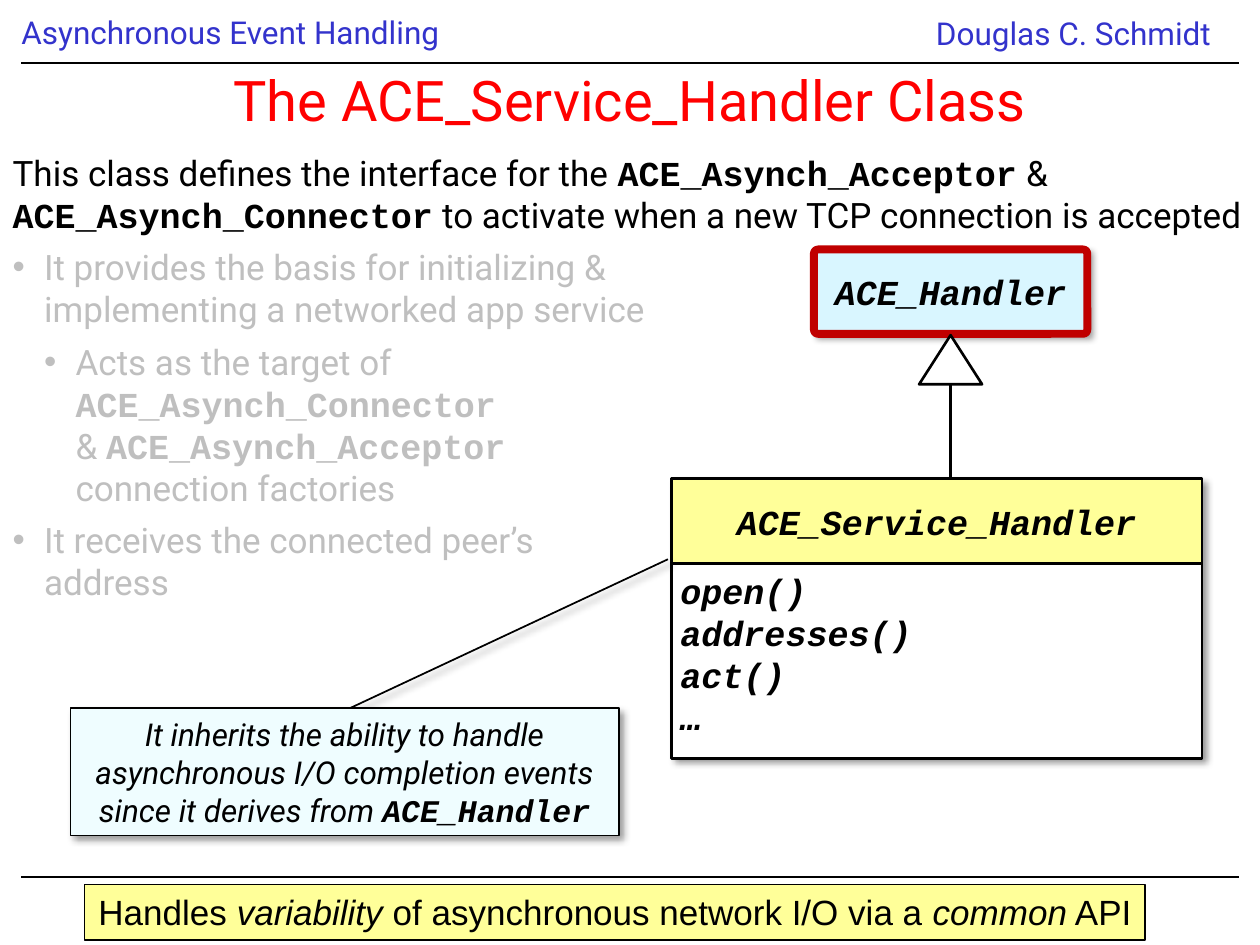
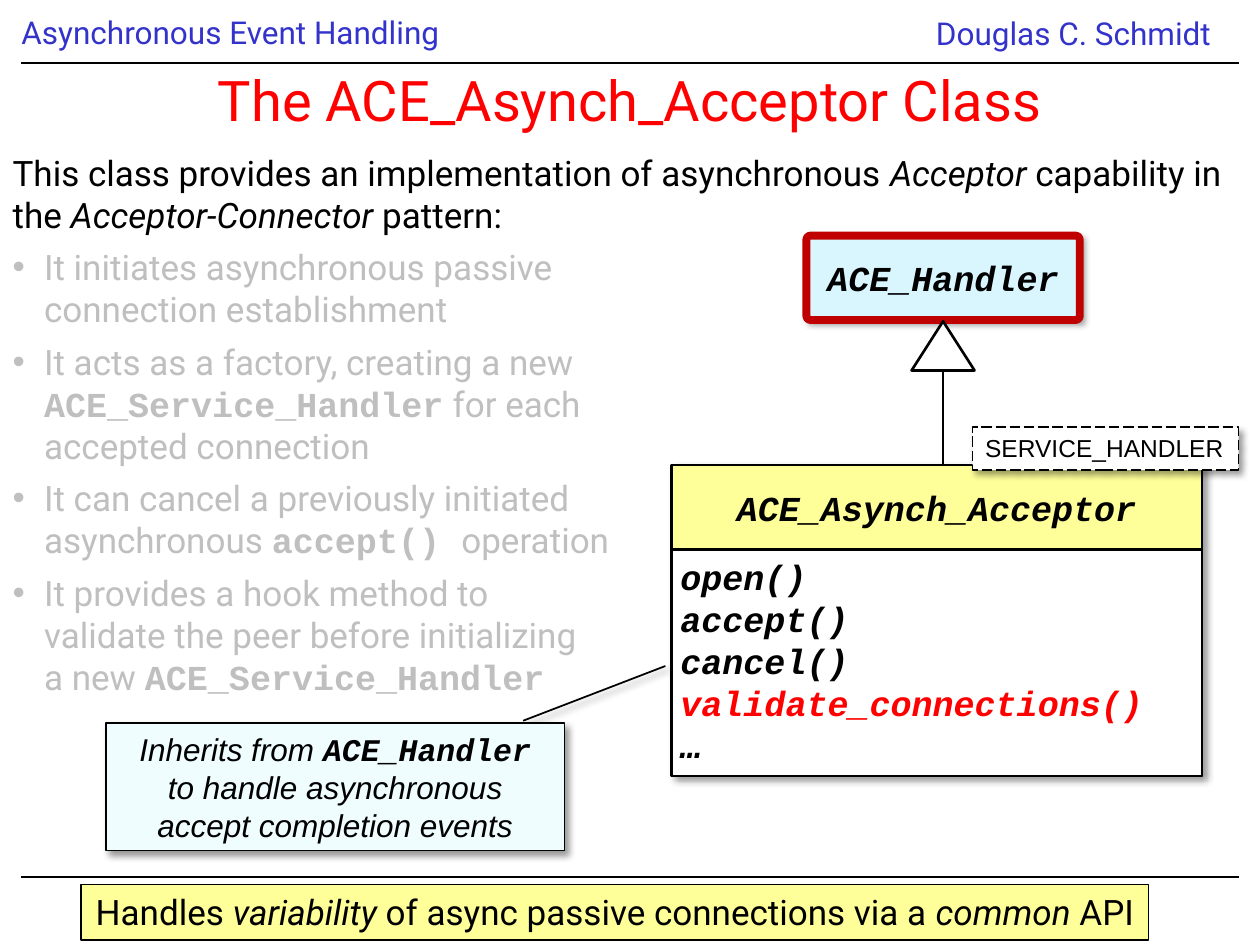
from lxml import etree
from pptx import Presentation
from pptx import util as u
from pptx.dml.color import RGBColor
from pptx.enum import dml, shapes, text
from pptx.oxml.ns import qn

# ---- Content: `code` is bold Courier New, *words* are italic ----
HEADER = ("Asynchronous Event Handling", "Douglas C. Schmidt")
BASE_CLASS = "ACE_Handler"
SLIDES = [
    dict(
        title="The ACE_Service_Handler Class",
        intro="This class defines the interface for the `ACE_Asynch_Acceptor` & "
              "`ACE_Asynch_Connector` to activate when a new TCP connection is accepted",
        bullets=[
            (1, "It provides the basis for initializing &\nimplementing a networked app service"),
            (2, "Acts as the target of\n`ACE_Asynch_Connector`\n& `ACE_Asynch_Acceptor`\n"
                "connection factories"),
            (1, "It receives the connected peer’s\naddress"),
        ],
        name="ACE_Service_Handler",
        methods=[("open()", "black"), ("addresses()", "black"), ("act()", "black"),
                 ("…", "black")],
        class_top=3.8, methods_height=1.55, base_left=6.46, tag=None,
        callout=dict(at=(0.56, 5.62, 4.35, 1.01), font="Roboto",
                     pointer=(0, 0.51, -1.17, 1.09),
                     words="It inherits the ability to handle asynchronous I/O completion "
                           "events since it derives from `ACE_Handler`"),
        footer=dict(width=8.42, font="Arial",
                    words="Handles *variability* of asynchronous network I/O via a *common* API"),
        body_height=3.72,
    ),
    dict(
        title="The ACE_Asynch_Acceptor Class",
        intro="This class provides an implementation of asynchronous *Acceptor* capability in "
              "the *Acceptor-Connector* pattern:",
        bullets=[
            (1, "It initiates asynchronous passive\nconnection establishment"),
            (1, "It acts as a factory, creating a new\n`ACE_Service_Handler` for each\n"
                "accepted connection"),
            (1, "It can cancel a previously initiated\nasynchronous `accept() `operation"),
            (1, "It provides a hook method to\nvalidate the peer before initializing\n"
                "a new `ACE_Service_Handler`"),
        ],
        name="ACE_Asynch_Acceptor",
        methods=[("open()", "black"), ("accept()", "black"), ("cancel()", "black"),
                 ("validate_connections()", "red"), ("…", "black")],
        class_top=3.69, methods_height=1.8, base_left=6.4, tag="SERVICE_HANDLER",
        callout=dict(at=(0.84, 5.74, 3.64, 1.01), font="Arial",
                     pointer=(-0.02, 0.91, -0.45, 1.22),
                     words="Inherits from `ACE_Handler `to handle asynchronous accept "
                           "completion events"),
        footer=dict(width=8.47, font="Roboto",
                    words="Handles *variability* of async passive connections via a *common* API"),
        body_height=4.9,
    ),
]

# ---- Shared look ----
WIDTH, HEIGHT, MARGIN = 10, 7.5, 0.17
COLORS = dict(black="000000", white="FFFFFF", blue="3333CC", red="FF0000", gray="BFBFBF",
              frame="C00000", base="D9F6FF", note="EFFDFF", yellow="FFFF99")
CODE = dict(name="Courier New", bold=True)
CLASS_LEFT, CLASS_WIDTH, NAME_HEIGHT = 5.33, 4.21, 0.67
BASE_WIDTH, BASE_RISE = 2.17, 1.82
ARROW_WIDTH, ARROW_HEIGHT, ARROW_RISE = 0.5, 0.39, 1.14
FOOTER_CENTER = 4.88
SHAPE = shapes.MSO_SHAPE
ALIGN = text.PP_ALIGN
ANCHOR = text.MSO_ANCHOR


def color(key):
    return RGBColor.from_string(COLORS[key])


def apply(target, formats):
    for key, value in formats.items():
        setattr(target, key, value)


def inches(values):
    return [u.Inches(value) for value in values]


# ---- Text ----
def add_span(para, words, size, ink, formats):
    for number, line in enumerate(words.split("\n")):
        if number:
            para.add_line_break()
        if line:
            span = para.add_run()
            span.text = line
            apply(span.font, dict(size=u.Pt(size), **formats))
            span.font.color.rgb = color(ink)


def fill_para(para, words, size, ink="black", font="Roboto", italic=False, **layout):
    apply(para, layout)
    for i, part in enumerate(words.split("`")):
        if i % 2:
            add_span(para, part, size, ink, dict(CODE, italic=italic))
            continue
        for j, piece in enumerate(part.split("*")):
            add_span(para, piece, size, ink, dict(name=font, italic=italic or j % 2 == 1))


def set_frame(box, **formats):
    frame = box.text_frame
    apply(frame, dict(dict(word_wrap=True, auto_size=text.MSO_AUTO_SIZE.NONE,
                           vertical_anchor=ANCHOR.TOP), **formats))
    return frame


def set_bullet(para, level):
    properties = para._p.get_or_add_pPr()
    properties.set("marL", str(u.Inches(0.25 * level)))
    properties.set("indent", str(u.Inches(-0.25 if level else 0)))
    if level:
        etree.SubElement(properties, qn("a:buChar")).set("char", "•")
    else:
        etree.SubElement(properties, qn("a:buNone"))


def add_label(page, at, words, **formats):
    box = page.shapes.add_textbox(*inches(at))
    frame = set_frame(box)
    fill_para(frame.paragraphs[0], words, 18, "blue", **formats)
    return frame


# ---- Shapes ----
def add_box(page, kind, at, fill=None, line="black", weight=1.5, shadow=False):
    box = page.shapes.add_shape(kind, *inches(at))
    box.shadow.inherit = False
    if fill:
        box.fill.solid()
        box.fill.fore_color.rgb = color(fill)
    else:
        box.fill.background()
    box.line.color.rgb = color(line)
    box.line.width = u.Pt(weight)
    if shadow:
        effects = box._element.spPr.find(qn("a:effectLst"))
        outer = etree.SubElement(effects, qn("a:outerShdw"), blurRad=str(u.Pt(4)),
                                 dist=str(u.Pt(3)), dir="2700000", algn="tl", rotWithShape="0")
        ink = etree.SubElement(outer, qn("a:srgbClr"), val=COLORS["black"])
        etree.SubElement(ink, qn("a:alpha"), val="40000")
    return box


def add_line(page, start, end, weight):
    line = page.shapes.add_connector(shapes.MSO_CONNECTOR.STRAIGHT, *inches(start + end))
    line.line.color.rgb = color("black")
    line.line.width = u.Pt(weight)
    etree.SubElement(line._element.spPr, qn("a:effectLst"))


def set_adjustments(box, values):
    for number, value in enumerate(values):
        box.adjustments[number] = value


# ---- Slide parts ----
def add_header_and_rules(page):
    topic, author = HEADER
    frame = add_label(page, (MARGIN, 0.09, 5.92, 0.37), topic, line_spacing=0.9)
    apply(frame, dict(margin_left=0, margin_right=0))
    add_label(page, (7.33, 0.06, 2.51, 0.4), author)
    for y in (0.5, 6.96):
        add_line(page, (MARGIN, y), (WIDTH - MARGIN, y), 0.75)


def add_title_and_body(page, item):
    title, body = page.shapes.title, page.placeholders[1]
    places = [(title, (MARGIN, 0.58, WIDTH - 2 * MARGIN, 0.42)),
              (body, (0, 1.15, WIDTH, item["body_height"]))]
    for holder, at in places:
        apply(holder, dict(zip(("left", "top", "width", "height"), inches(at))))
    frame = set_frame(title, vertical_anchor=ANCHOR.MIDDLE)
    fill_para(frame.paragraphs[0], item["title"], 32, "red", alignment=ALIGN.CENTER)
    frame = set_frame(body)
    for number, (level, words) in enumerate([(0, item["intro"])] + item["bullets"]):
        para = frame.add_paragraph() if number else frame.paragraphs[0]
        fill_para(para, words, 20, "gray" if level else "black", space_before=u.Pt(6))
        set_bullet(para, level)


def add_class_name(box, name):
    frame = set_frame(box, vertical_anchor=ANCHOR.MIDDLE)
    fill_para(frame.paragraphs[0], f"`{name}`", 20, italic=True, alignment=ALIGN.CENTER)


def add_class_diagram(page, item):
    top, height, base_left = item["class_top"], item["methods_height"], item["base_left"]
    axis = base_left + BASE_WIDTH / 2

    # Derived class: outline, methods, name
    add_box(page, SHAPE.RECTANGLE, (CLASS_LEFT, top, CLASS_WIDTH, NAME_HEIGHT + height),
            "white", weight=0.75, shadow=True)
    methods = add_box(page, SHAPE.RECTANGLE,
                      (CLASS_LEFT, top + NAME_HEIGHT, CLASS_WIDTH, height), "white")
    frame = set_frame(methods, margin_left=u.Inches(0.07))
    for number, (method, ink) in enumerate(item["methods"]):
        para = frame.add_paragraph() if number else frame.paragraphs[0]
        fill_para(para, f"`{method}`", 20, ink, italic=True, alignment=ALIGN.LEFT)
    name = add_box(page, SHAPE.RECTANGLE, (CLASS_LEFT, top, CLASS_WIDTH, NAME_HEIGHT), "yellow")
    add_class_name(name, item["name"])

    # Base class with its highlight frame
    base_at = (base_left, top - BASE_RISE, BASE_WIDTH, NAME_HEIGHT)
    base = add_box(page, SHAPE.RECTANGLE, base_at, "base", shadow=True)
    add_class_name(base, BASE_CLASS)
    highlight = add_box(page, SHAPE.ROUNDED_RECTANGLE, base_at, line="frame", weight=4.5)
    set_adjustments(highlight, [0.05])

    # Inheritance arrow
    arrow_top = top - ARROW_RISE
    add_box(page, SHAPE.ISOSCELES_TRIANGLE,
            (axis - ARROW_WIDTH / 2, arrow_top, ARROW_WIDTH, ARROW_HEIGHT), "white")
    add_line(page, (axis, arrow_top + ARROW_HEIGHT), (axis, top), 1.5)

    # Template parameter
    if item["tag"]:
        tag = add_box(page, SHAPE.RECTANGLE, (7.72, top - 0.3, 2.11, 0.34), "white",
                      weight=0.75, shadow=True)
        tag.line.dash_style = dml.MSO_LINE.LONG_DASH
        frame = set_frame(tag, word_wrap=False)
        fill_para(frame.paragraphs[0], item["tag"], 14, font="Arial", alignment=ALIGN.LEFT)


def add_callout(page, callout):
    box = add_box(page, SHAPE.LINE_CALLOUT_1, callout["at"], "note", weight=1, shadow=True)
    set_adjustments(box, callout["pointer"])
    frame = set_frame(box, vertical_anchor=ANCHOR.MIDDLE)
    fill_para(frame.paragraphs[0], callout["words"], 18, font=callout["font"], italic=True,
              alignment=ALIGN.CENTER)


def add_footer(page, footer):
    width = footer["width"]
    box = add_box(page, SHAPE.RECTANGLE, (FOOTER_CENTER - width / 2, 7.02, width, 0.44),
                  "yellow", weight=1)
    frame = set_frame(box)
    fill_para(frame.paragraphs[0], footer["words"], 20, font=footer["font"],
              alignment=ALIGN.CENTER)


def main():
    deck = Presentation()
    deck.slide_width, deck.slide_height = inches((WIDTH, HEIGHT))
    for item in SLIDES:
        page = deck.slides.add_slide(deck.slide_layouts[1])
        add_header_and_rules(page)
        add_title_and_body(page, item)
        add_class_diagram(page, item)
        add_callout(page, item["callout"])
        add_footer(page, item["footer"])
    deck.save("out.pptx")


if __name__ == "__main__":
    main()
